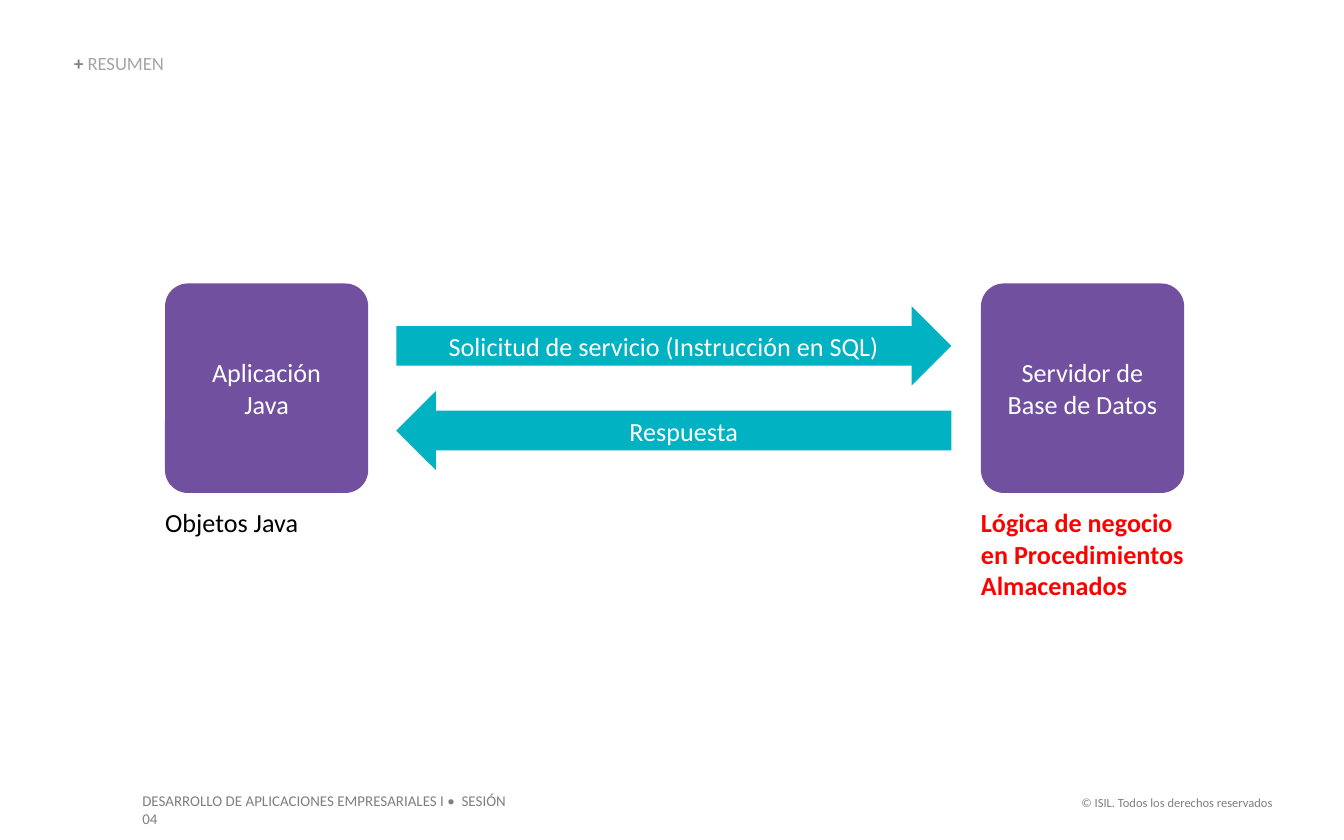
from pptx import Presentation
from pptx.dml.color import RGBColor
from pptx.enum.shapes import MSO_SHAPE as Shape
from pptx.enum.text import MSO_ANCHOR as Anchor, PP_ALIGN as Align
from pptx.util import Cm, Pt

PURPLE = RGBColor(0x71, 0x50, 0xA0)
TEAL = RGBColor(0x00, 0xB2, 0xC2)
WHITE = RGBColor(0xFF, 0xFF, 0xFF)
BLACK = RGBColor(0x00, 0x00, 0x00)
RED = RGBColor(0xFF, 0x00, 0x00)
GRAY = RGBColor(0x7F, 0x7F, 0x7F)
LIGHT_GRAY = RGBColor(0xA5, 0xA5, 0xA5)


class SlideBuilder:
    font_name = "Calibri"
    body_size = 14

    def __init__(self, page):
        self.page = page

    def style(self, font, size, color, bold=False):
        font.name = self.font_name
        font.size = Pt(size)
        font.bold = bold
        font.color.rgb = color

    def frame(self, box, anchor, side=0, edge=0):
        frame = box.text_frame
        frame.word_wrap = True
        frame.vertical_anchor = anchor
        frame.margin_left = frame.margin_right = Cm(side)
        frame.margin_top = frame.margin_bottom = Cm(edge)
        return frame

    def title(self, spans, left, top, width, height):
        box = self.page.shapes.title
        box.left, box.top, box.width, box.height = map(Cm, (left, top, width, height))
        para = self.frame(box, Anchor.BOTTOM).paragraphs[0]
        para.alignment = Align.LEFT
        para.line_spacing = 0.9
        for text, color, bold in spans:
            span = para.add_run()
            span.text = text
            self.style(span.font, 10, color, bold)

    def block(self, kind, lines, left, top, width, height, fill, adjustments):
        box = self.page.shapes.add_shape(kind, *map(Cm, (left, top, width, height)))
        for index, value in enumerate(adjustments):
            box.adjustments[index] = value
        box.shadow.inherit = False
        box.fill.solid()
        box.fill.fore_color.rgb = fill
        box.line.fill.background()
        frame = self.frame(box, Anchor.MIDDLE, 0.18, 0.1)
        frame.text = "\n".join(lines)
        for para in frame.paragraphs:
            para.alignment = Align.CENTER
            self.style(para.font, self.body_size, WHITE)

    def label(self, text, left, top, width, height, color, size=body_size,
              bold=False, align=Align.LEFT, margins=(0, 0)):
        box = self.page.shapes.add_textbox(*map(Cm, (left, top, width, height)))
        frame = self.frame(box, Anchor.TOP, *margins)
        para = frame.paragraphs[0]
        para.text = text
        para.alignment = align
        self.style(para.font, size, color, bold)


def main():
    deck = Presentation()
    deck.slide_width, deck.slide_height = Cm(25.4), Cm(15.88)
    title_only = deck.slide_layouts[5]
    slide = SlideBuilder(deck.slides.add_slide(title_only))

    # Heading
    slide.title([("+ ", GRAY, True), ("RESUMEN", LIGHT_GRAY, False)],
                1.4, 1.04, 17.3, 0.38)

    # Application and server, each with its caption
    app_left, server_left = 3.12, 18.54
    for left, lines in ((app_left, ["Aplicación", "Java"]),
                        (server_left, ["Servidor de Base de Datos"])):
        slide.block(Shape.ROUNDED_RECTANGLE, lines, left, 5.36, 3.84, 3.96,
                    PURPLE, [0.113])
    caption_top = 9.58
    slide.label("Objetos Java", app_left, caption_top, 3.81, 0.61, BLACK)
    slide.label("Lógica de negocio en Procedimientos Almacenados",
                server_left, caption_top, 4.11, 1.8, RED, bold=True)

    # Request and response arrows
    for kind, text, top in (
            (Shape.RIGHT_ARROW, "Solicitud de servicio (Instrucción en SQL)", 5.79),
            (Shape.LEFT_ARROW, "Respuesta", 7.39)):
        slide.block(kind, [text], 7.49, top, 10.49, 1.5, TEAL, [0.5, 0.5])

    # Footer
    footer_margins = (0.25, 0.13)
    slide.label("DESARROLLO DE APLICACIONES EMPRESARIALES I •  SESIÓN 04",
                2.44, 14.83, 7.7, 0.61, GRAY, size=8, margins=footer_margins)
    slide.label("© ISIL. Todos los derechos reservados",
                20.12, 14.91, 4.19, 0.53, GRAY, size=6.7, align=Align.RIGHT,
                margins=footer_margins)

    deck.save("out.pptx")


if __name__ == "__main__":
    main()
